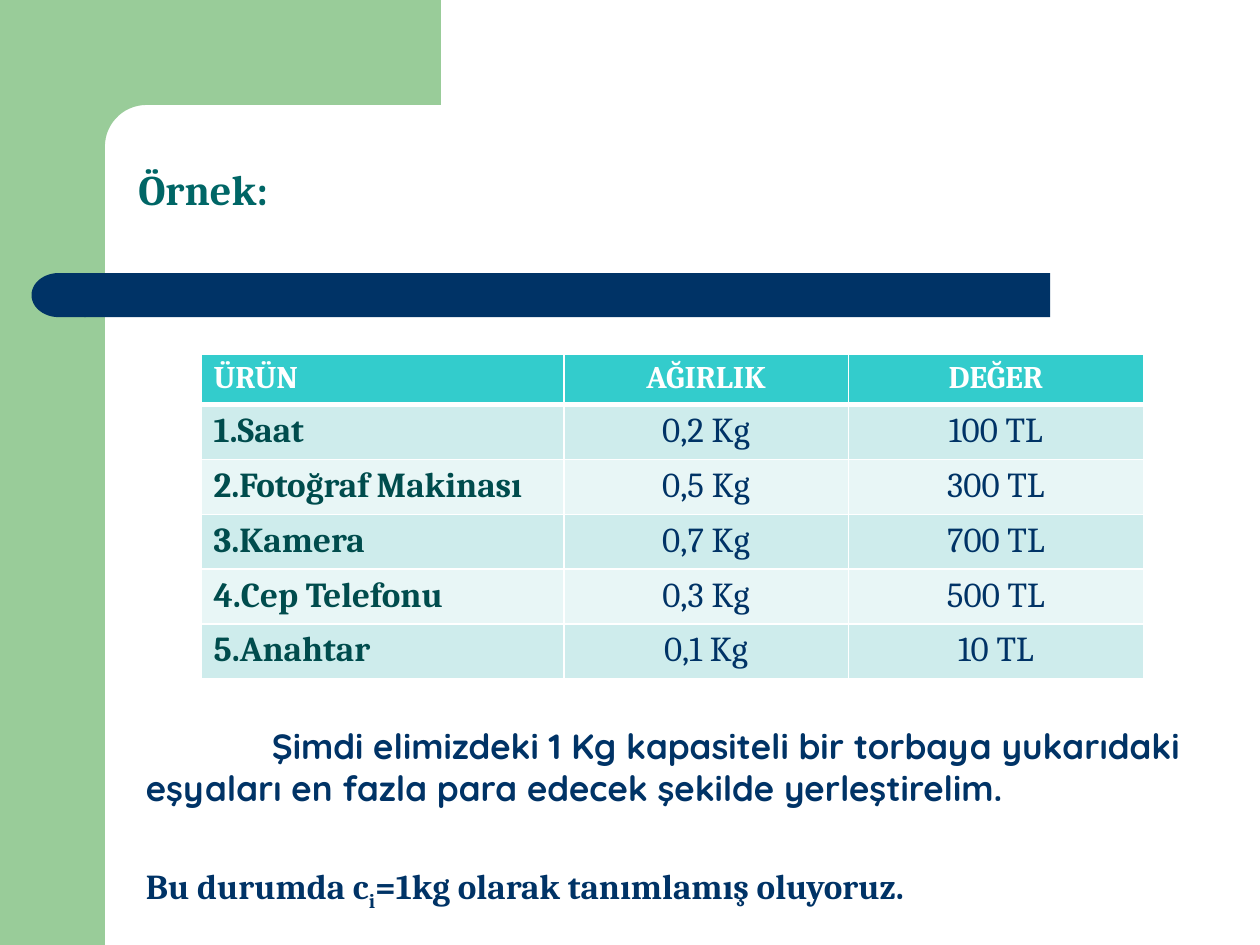
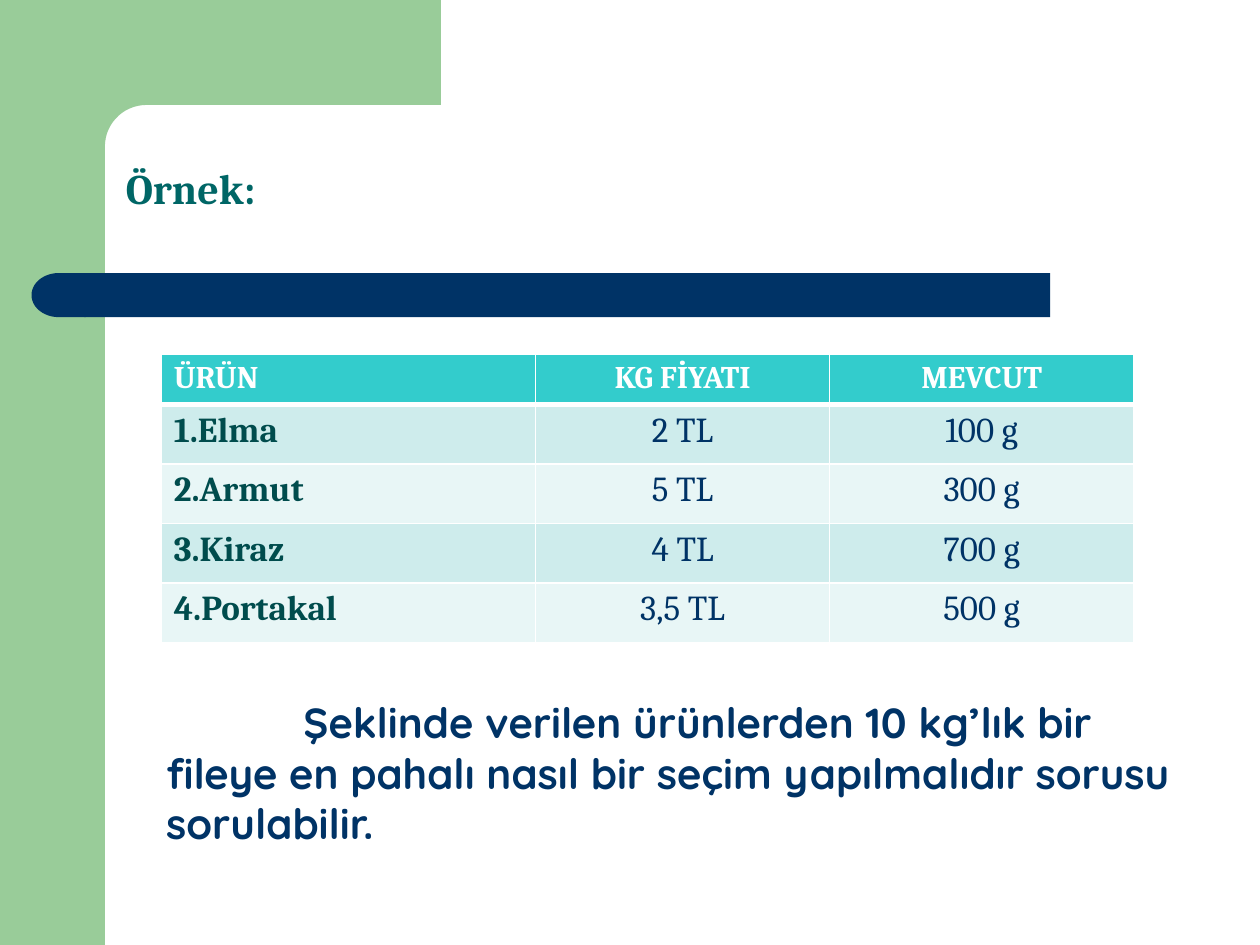
"""Build two knapsack example slides with a shared frame, title style and table style."""
from dataclasses import dataclass
from math import cos, radians, sin

from lxml import etree
from pptx import Presentation
from pptx import util as u
from pptx.dml.color import RGBColor
from pptx.enum import shapes, text
from pptx.oxml import ns

GREEN = RGBColor(0x99, 0xCC, 0x99)
NAVY = RGBColor(0x00, 0x33, 0x66)
TEAL = RGBColor(0x00, 0x66, 0x66)
DARK_TEAL = RGBColor(0x00, 0x4C, 0x4D)
TURQUOISE = RGBColor(0x33, 0xCC, 0xCC)
WHITE = RGBColor(0xFF, 0xFF, 0xFF)
ROW_FILLS = (RGBColor(0xCE, 0xEC, 0xEC), RGBColor(0xE8, 0xF6, 0xF6))

SERIF = "Cambria"
ROUNDED = "Quicksand"
WIDTH, HEIGHT = u.Inches(10), u.Inches(7.5)
GRID_COLUMNS, GRID_ROWS = 100, 75
COLUMN_WEIGHTS = (38.5, 30.2, 31.3)


@dataclass(frozen=True)
class Area:
    """A rectangle in grid columns and rows."""
    left: float
    top: float
    width: float
    height: float

    def emu(self) -> tuple:
        """Return left, top, width and height in slide units."""
        return across(self.left), down(self.top), across(self.width), down(self.height)


@dataclass(frozen=True)
class Span:
    """A stretch of text in one format."""
    words: str
    size: int = 20
    font: str = SERIF
    color: RGBColor = NAVY
    bold: bool = True
    baseline: int = 0


@dataclass(frozen=True)
class Para:
    """A paragraph with its indents in grid columns and its space before in points."""
    spans: tuple
    margin: float = 0
    first_line: float = 0
    before: int = 0


@dataclass(frozen=True)
class Example:
    """The content of one example slide."""
    title_area: Area
    title_margin: float
    table_area: Area
    header_height: float
    rows: tuple
    body_area: Area
    body_inset: float
    body: tuple


def across(columns: float) -> int:
    """Convert grid columns to slide units."""
    return round(WIDTH * columns / GRID_COLUMNS)


def down(rows: float) -> int:
    """Convert grid rows to slide units."""
    return round(HEIGHT * rows / GRID_ROWS)


def add_span(para, words: str, *, size: int, font: str, color: RGBColor,
             bold: bool, baseline: int = 0) -> None:
    """Append formatted text to a paragraph."""
    span = para.add_run()
    span.text = words
    span.font.size = u.Pt(size)
    span.font.name = font
    span.font.color.rgb = color
    span.font.bold = bold
    if baseline:
        span.font._element.set("baseline", str(baseline * 1000))


def add_text_box(page, area: Area, paras: tuple, inset: float = 0.5) -> None:
    """Add a wrapping text box with the given paragraphs."""
    frame = page.shapes.add_textbox(*area.emu()).text_frame
    frame.word_wrap = True
    frame.margin_top = down(inset)
    for index, item in enumerate(paras):
        para = frame.add_paragraph() if index else frame.paragraphs[0]
        properties = para._p.get_or_add_pPr()
        properties.set("marL", str(across(item.margin)))
        properties.set("indent", str(across(item.first_line)))
        if item.before:
            para.space_before = u.Pt(item.before)
        for span in item.spans:
            add_span(para, span.words, size=span.size, font=span.font,
                     color=span.color, bold=span.bold, baseline=span.baseline)


def paint(shape, color: RGBColor) -> None:
    """Give a shape a plain fill without line or shadow."""
    shape.shadow.inherit = False
    shape.fill.solid()
    shape.fill.fore_color.rgb = color
    shape.line.fill.background()


def add_block(page, kind, area: Area, color: RGBColor):
    """Add a plain preset shape."""
    shape = page.shapes.add_shape(kind, *area.emu())
    paint(shape, color)
    return shape


def add_corner(page) -> None:
    """Draw the green top band with its rounded inner corner."""
    edge, radius = 8.33, 3.3
    center = edge + radius
    arc = [(center - radius * sin(radians(angle)), center - radius * cos(radians(angle)))
           for angle in range(0, 91, 6)]
    outline = [(35, 0), (35, edge), *arc, (edge, 12.8), (5, 12.8), (5, 0)]
    points = [(across(x), down(y)) for x, y in outline]
    builder = page.shapes.build_freeform(*points[0], scale=1.0)
    builder.add_line_segments(points[1:], close=True)
    paint(builder.convert_to_shape(), GREEN)


def add_frame(page) -> None:
    """Draw the green side and top bands and the navy title bar."""
    kinds = shapes.MSO_SHAPE
    add_block(page, kinds.RECTANGLE, Area(0, 0, 8.33, GRID_ROWS), GREEN)
    add_corner(page)
    bar = add_block(page, kinds.ROUNDED_RECTANGLE, Area(6.7, 21.67, 76.65, 3.5), NAVY)
    bar.adjustments[0] = 0
    cap = add_block(page, kinds.FLOWCHART_DELAY, Area(2.5, 21.67, 4.3, 3.5), NAVY)
    cap.rotation = 180


def set_borders(cell, top: int, bottom: int) -> None:
    """Give a cell white borders with the given top and bottom widths in points."""
    properties = cell._tc.get_or_add_tcPr()
    for side, width in (("L", 1), ("R", 1), ("T", top), ("B", bottom)):
        line = etree.SubElement(properties, ns.qn(f"a:ln{side}"), w=str(u.Pt(width)))
        fill = etree.SubElement(line, ns.qn("a:solidFill"))
        etree.SubElement(fill, ns.qn("a:srgbClr"), val=str(WHITE))


def add_product_table(page, example: Example) -> None:
    """Add the banded product table."""
    area, rows = example.table_area, example.rows
    table = page.shapes.add_table(len(rows), len(COLUMN_WEIGHTS), *area.emu()).table
    for column, weight in zip(table.columns, COLUMN_WEIGHTS):
        column.width = across(area.width * weight / sum(COLUMN_WEIGHTS))
    row_height = (area.height - example.header_height) / (len(rows) - 1)
    for r, values in enumerate(rows):
        header = r == 0
        table.rows[r].height = down(example.header_height if header else row_height)
        for c, value in enumerate(values):
            cell = table.cell(r, c)
            set_borders(cell, top=3 if r == 1 else 1, bottom=3 if header else 1)
            cell.fill.solid()
            cell.fill.fore_color.rgb = TURQUOISE if header else ROW_FILLS[(r - 1) % 2]
            para = cell.text_frame.paragraphs[0]
            if c:
                para.alignment = text.PP_ALIGN.CENTER
            color = WHITE if header else NAVY if c else DARK_TEAL
            add_span(para, value, size=18 if header else 20, font=SERIF,
                     color=color, bold=header or c == 0)


def add_example(deck, example: Example) -> None:
    """Add one example slide."""
    page = deck.slides.add_slide(deck.slide_layouts[6])
    add_frame(page)
    title = Para((Span("Örnek:", size=24, color=TEAL),), margin=example.title_margin)
    add_text_box(page, example.title_area, (title,))
    add_product_table(page, example)
    add_text_box(page, example.body_area, example.body, example.body_inset)


EXAMPLES = (
    Example(
        title_area=Area(2, 12.5, 98, 8.4),
        title_margin=8,
        table_area=Area(15.95, 28.1, 74.8, 25.7),
        header_height=3.9,
        rows=(
            ("ÜRÜN", "AĞIRLIK", "DEĞER"),
            ("1.Saat", "0,2 Kg", "100 TL"),
            ("2.Fotoğraf Makinası", "0,5 Kg", "300 TL"),
            ("3.Kamera", "0,7 Kg", "700 TL"),
            ("4.Cep Telefonu", "0,3 Kg", "500 TL"),
            ("5.Anahtar", "0,1 Kg", "10 TL"),
        ),
        body_area=Area(10.6, 56.4, 87, 9.5),
        body_inset=1.1,
        body=(
            Para((Span("Şimdi elimizdeki 1 Kg kapasiteli bir torbaya yukarıdaki eşyaları "
                       "en fazla para edecek şekilde yerleştirelim.", font=ROUNDED),),
                 first_line=10),
            Para((Span("Bu durumda c"), Span("i", baseline=-25),
                  Span("=1kg olarak tanımlamış oluyoruz.")), before=32),
        ),
    ),
    Example(
        title_area=Area(9, 12.4, 91, 8.4),
        title_margin=0,
        table_area=Area(12.8, 28.1, 77.2, 22.9),
        header_height=4,
        rows=(
            ("ÜRÜN", "KG FİYATI", "MEVCUT"),
            ("1.Elma", "2 TL", "100 g"),
            ("2.Armut", "5 TL", "300 g"),
            ("3.Kiraz", "4 TL", "700 g"),
            ("4.Portakal", "3,5 TL", "500 g"),
        ),
        body_area=Area(12.2, 54.8, 82.9, 9.4),
        body_inset=0.5,
        body=(
            Para((Span("Şeklinde verilen ürünlerden 10 kg’lık bir fileye en pahalı nasıl "
                       "bir seçim yapılmalıdır sorusu sorulabilir.", size=24, font=ROUNDED),),
                 first_line=10.9),
        ),
    ),
)


def main() -> None:
    """Build and save the deck."""
    deck = Presentation()
    deck.slide_width, deck.slide_height = WIDTH, HEIGHT
    for example in EXAMPLES:
        add_example(deck, example)
    deck.save("out.pptx")


if __name__ == "__main__":
    main()
